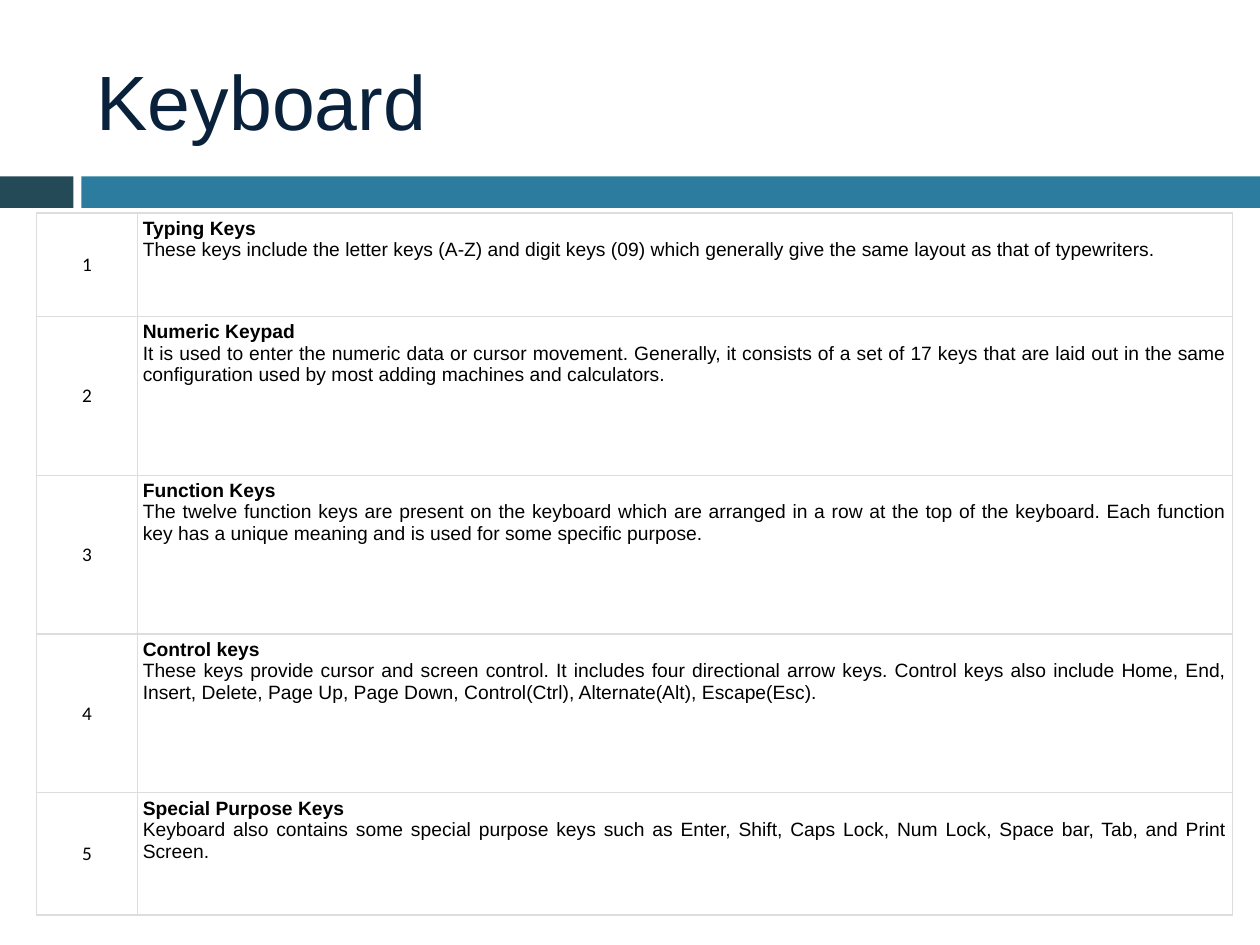
from dataclasses import dataclass

from lxml import etree
from pptx import Presentation
from pptx import util as u
from pptx.dml import color
from pptx.enum import shapes, text
from pptx.oxml import ns

BLACK, WHITE, BORDER = "000000", "FFFFFF", "DDDDDD"
CELL_INSET = 2.9


@dataclass
class Band:
    left: float
    width: float
    fill: str


@dataclass
class KeyGroup:
    name: str
    description: str
    height: float


BANDS = [Band(0, 42, "244A58"), Band(46.5, 673.5, "2C7C9F")]

KEY_GROUPS = [
    KeyGroup(
        "Typing Keys",
        "These keys include the letter keys (A-Z) and digit keys (09) which generally "
        "give the same layout as that of typewriters.",
        59,
    ),
    KeyGroup(
        "Numeric Keypad",
        "It is used to enter the numeric data or cursor movement. Generally, it consists "
        "of a set of 17 keys that are laid out in the same configuration used by most "
        "adding machines and calculators.",
        90.8,
    ),
    KeyGroup(
        "Function Keys",
        "The twelve function keys are present on the keyboard which are arranged in a row "
        "at the top of the keyboard. Each function key has a unique meaning and is used "
        "for some specific purpose.",
        90.8,
    ),
    KeyGroup(
        "Control keys",
        "These keys provide cursor and screen control. It includes four directional arrow "
        "keys. Control keys also include Home, End, Insert, Delete, Page Up, Page Down, "
        "Control(Ctrl), Alternate(Alt), Escape(Esc).",
        90.8,
    ),
    KeyGroup(
        "Special Purpose Keys",
        "Keyboard also contains some special purpose keys such as Enter, Shift, Caps Lock, "
        "Num Lock, Space bar, Tab, and Print Screen.",
        69.8,
    ),
]


def set_color(target, value: str) -> None:
    target.rgb = color.RGBColor.from_string(value)


def add_run(paragraph, content: str, font: str, size: float,
            value: str = BLACK, bold: bool = False) -> None:
    run = paragraph.add_run()
    run.text = content
    run.font.name = font
    run.font.size = u.Pt(size)
    run.font.bold = bold
    set_color(run.font.color, value)


def add_band(slide, band: Band) -> None:
    shape = slide.shapes.add_shape(
        shapes.MSO_SHAPE.RECTANGLE,
        u.Pt(band.left), u.Pt(100.8), u.Pt(band.width), u.Pt(18),
    )
    shape.shadow.inherit = False
    shape.fill.solid()
    set_color(shape.fill.fore_color, band.fill)
    shape.line.fill.background()


def add_title(slide, content: str) -> None:
    shape = slide.shapes.add_textbox(u.Pt(48.2), u.Pt(18), u.Pt(642), u.Pt(78))
    frame = shape.text_frame
    frame.word_wrap = True
    frame.vertical_anchor = text.MSO_ANCHOR.MIDDLE
    add_run(frame.paragraphs[0], content, "Arial", 44, "09213B")


def style_cell(cell, anchor: text.MSO_ANCHOR) -> None:
    cell.margin_left = cell.margin_right = u.Pt(CELL_INSET)
    cell.margin_top = cell.margin_bottom = u.Pt(CELL_INSET)
    cell.vertical_anchor = anchor
    properties = cell._tc.get_or_add_tcPr()
    for side in ("a:lnL", "a:lnR", "a:lnT", "a:lnB"):
        line = etree.SubElement(properties, ns.qn(side), w=str(u.Pt(0.75)))
        fill = etree.SubElement(line, ns.qn("a:solidFill"))
        etree.SubElement(fill, ns.qn("a:srgbClr"), val=BORDER)
    cell.fill.solid()
    set_color(cell.fill.fore_color, WHITE)


def add_key_table(slide, groups: list[KeyGroup]) -> None:
    widths = (57.8, 625.5)
    height = sum(group.height for group in groups)
    table = slide.shapes.add_table(
        len(groups), len(widths),
        u.Pt(20.9), u.Pt(121.7), u.Pt(sum(widths)), u.Pt(height),
    ).table
    table.first_row = table.horz_banding = False
    for column, width in zip(table.columns, widths):
        column.width = u.Pt(width)

    for index, group in enumerate(groups):
        table.rows[index].height = u.Pt(group.height)
        number, details = table.rows[index].cells
        style_cell(number, text.MSO_ANCHOR.MIDDLE)
        style_cell(details, text.MSO_ANCHOR.TOP)

        paragraph = number.text_frame.paragraphs[0]
        paragraph.alignment = text.PP_ALIGN.CENTER
        add_run(paragraph, str(index + 1), "Calibri", 11)

        heading = details.text_frame.paragraphs[0]
        body = details.text_frame.add_paragraph()
        heading.alignment = body.alignment = text.PP_ALIGN.JUSTIFY
        add_run(heading, group.name, "Arial", 11, bold=True)
        add_run(body, group.description, "Arial", 11)


def main() -> None:
    presentation = Presentation()
    presentation.slide_width = u.Pt(720)
    presentation.slide_height = u.Pt(540)
    slide = presentation.slides.add_slide(presentation.slide_layouts[6])
    for band in BANDS:
        add_band(slide, band)
    add_title(slide, "Keyboard")
    add_key_table(slide, KEY_GROUPS)
    presentation.save("out.pptx")


if __name__ == "__main__":
    main()
